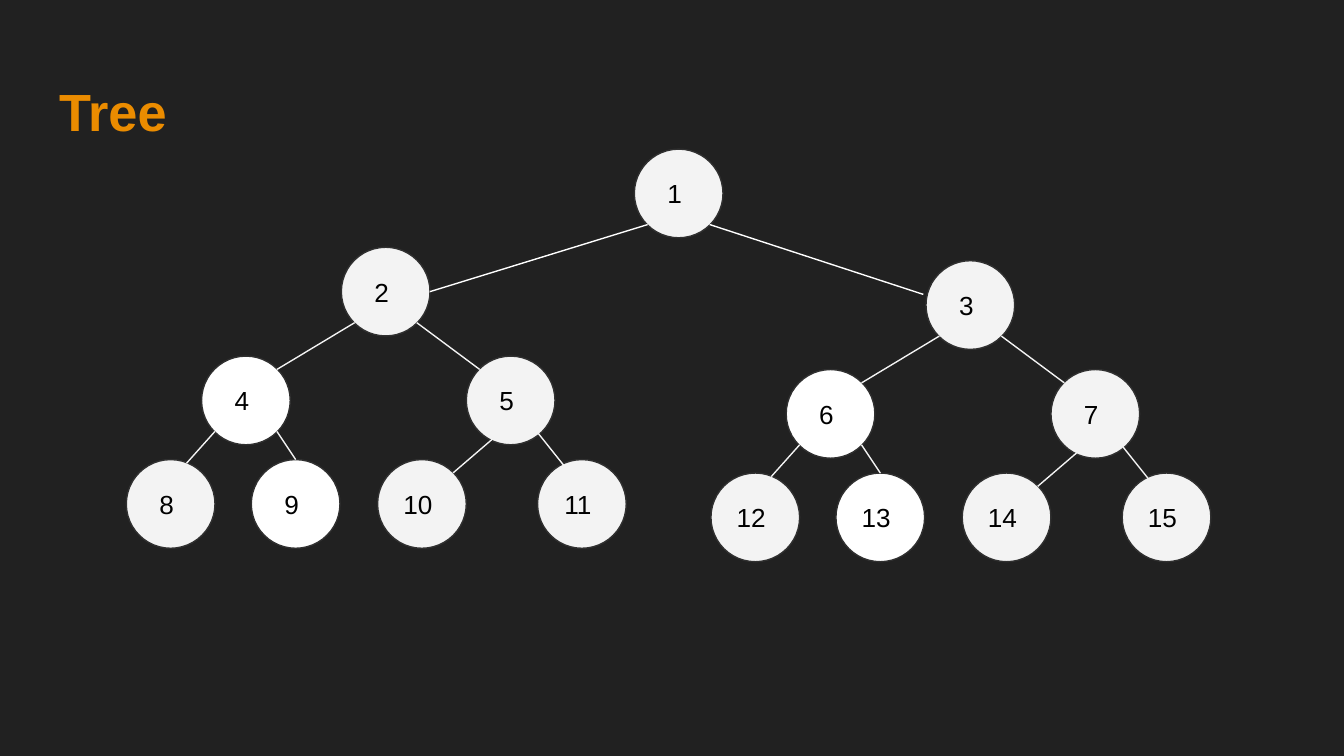
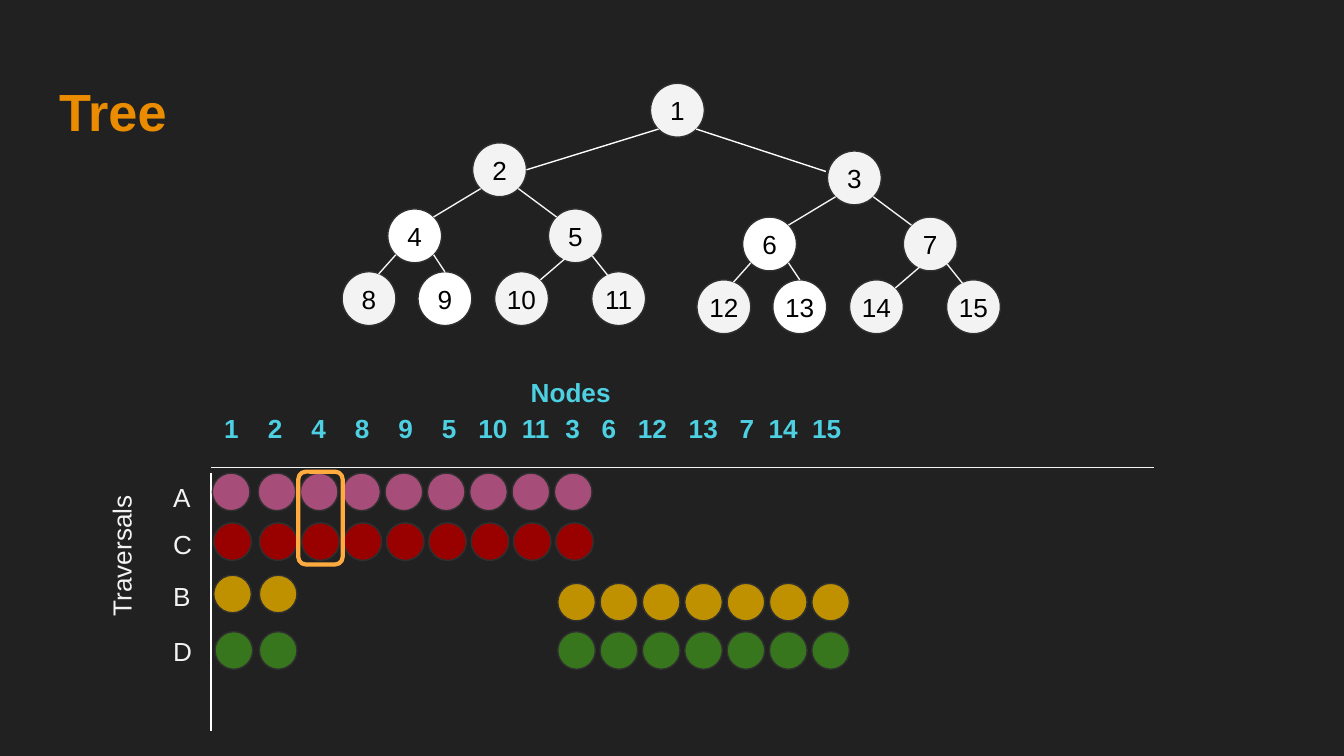
from dataclasses import dataclass

from lxml.etree import SubElement
from pptx import Presentation
from pptx.dml.color import RGBColor
from pptx.enum.shapes import MSO_CONNECTOR, MSO_SHAPE
from pptx.enum.text import MSO_ANCHOR, MSO_AUTO_SIZE, PP_ALIGN
from pptx.oxml.ns import qn
from pptx.util import Emu, Inches, Pt

COLUMNS, ROWS = 100, 56.25
TITLE_ONLY = 5


@dataclass(frozen=True)
class Theme:
    font: str = "Arial"
    title_size: int = 28
    body_size: int = 14
    thin: float = 0.75
    thick: float = 2.25
    inset: float = 1
    background: str = "212121"
    title: str = "EB8C00"
    heading: str = "4DD0E1"
    light: str = "F3F3F3"
    white: str = "FFFFFF"
    ink: str = "000000"
    outline: str = "303030"
    highlight: str = "FFAB40"
    purple: str = "A64D79"
    red: str = "990000"
    gold: str = "BF9000"
    green: str = "38761D"


# Places on a node's edge, as shares of its width and height
TOP, RIGHT = (0.5, 0), (1, 0.5)
TOP_LEFT, TOP_RIGHT = (0.15, 0.15), (0.85, 0.15)
BOTTOM_LEFT, BOTTOM_RIGHT = (0.15, 0.85), (0.85, 0.85)

NODE_SIZE = 6.6
# Node: offset from the root, where the edge leaves the parent, where it arrives
LEFT_BRANCH = {
    2: ((-21.8, 7.3), BOTTOM_LEFT, RIGHT),
    4: ((-32.2, 15.4), BOTTOM_LEFT, TOP_RIGHT),
    5: ((-12.5, 15.4), BOTTOM_RIGHT, TOP_LEFT),
    8: ((-37.8, 23.1), BOTTOM_LEFT, (0.68, 0.04)),
    9: ((-28.5, 23.1), BOTTOM_RIGHT, TOP),
    10: ((-19.1, 23.1), (0.3, 0.93), TOP_RIGHT),
    11: ((-7.2, 23.1), (0.81, 0.87), (0.3, 0.07)),
}
RIGHT_SHIFT = (43.5, 1)
WHITE_NODES = {4, 6, 9, 13}

# Numbers in the order they are visited, and the gaps between them in spaces
VISITS = [1, 2, 4, 8, 9, 5, 10, 11, 3, 6, 12, 13, 7, 14, 15]
GAPS = [4, 4, 4, 4, 4, 3, 2, 2, 3, 3, 3, 3, 2, 2]
DIGIT, SPACE = 1.08, 0.54

DOT_SIZE, DOT_STEP = 2.8, 3.15
# Letter, its row, dot colour, runs of dots as (left, top, count)
TRAVERSALS = [
    ("A", 34.8, "purple", [(15.8, 35.2, 1), (19.2, 35.2, 8)]),
    ("C", 38.3, "red", [(15.9, 38.9, 1), (19.3, 38.9, 8)]),
    ("B", 42.2, "gold", [(15.9, 42.8, 1), (19.3, 42.8, 1), (41.5, 43.4, 7)]),
    ("D", 46.3, "green", [(16, 47, 1), (19.3, 47, 1), (41.5, 47, 7)]),
]


def tree_layout():
    """Map each node to its offset from the root and its edge's two ports."""
    layout = {1: ((0, 0), None, None)}
    for number, (offset, leave, arrive) in LEFT_BRANCH.items():
        layout[number] = (offset, leave, arrive)
        twin = number + 2 ** (number.bit_length() - 2)
        shifted = tuple(a + b for a, b in zip(offset, RIGHT_SHIFT))
        layout[twin] = (shifted, leave, arrive)
    layout[3] = (layout[3][0], BOTTOM_RIGHT, (-0.03, 0.38))
    return layout


class Deck:
    def __init__(self, theme):
        self.theme = theme
        self.presentation = Presentation()
        self.presentation.slide_width = Inches(10)
        self.presentation.slide_height = Inches(5.625)
        self.slide = None
        fill = self.presentation.slide_master.background.fill
        fill.solid()
        fill.fore_color.rgb = self.color("background")

    def color(self, name):
        return RGBColor.from_string(getattr(self.theme, name))

    def x(self, columns):
        return Emu(round(self.presentation.slide_width * columns / COLUMNS))

    def y(self, rows):
        return Emu(round(self.presentation.slide_height * rows / ROWS))

    def frame(self, left, top, width, height):
        return self.x(left), self.y(top), self.x(width), self.y(height)

    def set_text(self, shape, text, color, size, bold=False, align=PP_ALIGN.LEFT,
                 anchor=MSO_ANCHOR.TOP, margins=None):
        """Put one formatted paragraph in the shape; margins are left, top, right, bottom."""
        text_frame = shape.text_frame
        text_frame.word_wrap = True
        text_frame.auto_size = MSO_AUTO_SIZE.NONE
        text_frame.vertical_anchor = anchor
        left, top, right, bottom = margins or (self.theme.inset,) * 4
        text_frame.margin_left, text_frame.margin_right = self.x(left), self.x(right)
        text_frame.margin_top, text_frame.margin_bottom = self.y(top), self.y(bottom)
        text_frame.text = text
        paragraph = text_frame.paragraphs[0]
        paragraph.alignment = align
        for run in paragraph.runs:
            run.font.name = self.theme.font
            run.font.size = Pt(size)
            run.font.bold = bold
            run.font.color.rgb = self.color(color)
        return paragraph

    def add_slide(self, title, title_width):
        layout = self.presentation.slide_layouts[TITLE_ONLY]
        self.slide = self.presentation.slides.add_slide(layout)
        shape = self.slide.shapes.title
        shape.left, shape.top, shape.width, shape.height = self.frame(3.4, 4.9, title_width, 6.3)
        self.set_text(shape, title, "title", self.theme.title_size, bold=True)

    def label(self, text, box, color="light", bold=False, rotation=0):
        shape = self.slide.shapes.add_textbox(*self.frame(*box))
        shape.rotation = rotation
        return self.set_text(shape, text, color, self.theme.body_size, bold)

    def shape(self, kind, box, fill=None, line="outline", weight=None):
        shape = self.slide.shapes.add_shape(kind, *self.frame(*box))
        shape.shadow.inherit = False
        if fill:
            shape.fill.solid()
            shape.fill.fore_color.rgb = self.color(fill)
        else:
            shape.fill.background()
        shape.line.color.rgb = self.color(line)
        shape.line.width = Pt(weight or self.theme.thin)
        return shape

    def line(self, start, end, color="light"):
        connector = self.slide.shapes.add_connector(
            MSO_CONNECTOR.STRAIGHT,
            self.x(start[0]), self.y(start[1]), self.x(end[0]), self.y(end[1]))
        connector.line.color.rgb = self.color(color)
        connector.line.width = Pt(self.theme.thin)
        SubElement(connector._element.spPr, qn("a:effectLst"))

    def tree(self, root, scale=1, right_margin=0):
        """Draw the binary tree, its root node's corner at the given column and row."""
        layout = tree_layout()
        size = NODE_SIZE * scale

        def place(number, port=(0, 0)):
            offset = layout[number][0]
            return tuple(origin + scale * distance + size * share
                         for origin, distance, share in zip(root, offset, port))

        for number in sorted(layout):
            fill = "white" if number in WHITE_NODES else "light"
            node = self.shape(MSO_SHAPE.OVAL, (*place(number), size, size), fill)
            self.set_text(node, str(number), "ink", self.theme.body_size,
                          align=PP_ALIGN.CENTER, anchor=MSO_ANCHOR.MIDDLE,
                          margins=(0, 0, right_margin, 0))
        for number in sorted(layout)[1:]:
            parent = number // 2
            _, leave, arrive = layout[number]
            self.line(place(parent, leave), place(number, arrive),
                      "white" if parent == 1 else "light")

    def visit_header(self, box):
        """Show the visited numbers in one line, spaced by tab stops."""
        text = "\t".join(str(number) for number in VISITS)
        paragraph = self.label(text, box, "heading", bold=True)
        stops = SubElement(paragraph._p.get_or_add_pPr(), qn("a:tabLst"))
        position = 0
        for number, gap in zip(VISITS, GAPS):
            position += len(str(number)) * DIGIT + gap * SPACE
            SubElement(stops, qn("a:tab"), pos=str(self.x(position)), algn="l")

    def traversal(self, letter, row, color, runs):
        self.label(letter, (11.9, row, 5.1, 5.1))
        for left, top, count in runs:
            for index in range(count):
                box = (left + index * DOT_STEP, top, DOT_SIZE, DOT_SIZE)
                self.shape(MSO_SHAPE.OVAL, box, color)


def main():
    deck = Deck(Theme())

    deck.add_slide("Tree", 93.2)
    deck.tree(root=(47.2, 11.1), right_margin=0.6)

    deck.add_slide("Tree", 15.3)
    deck.tree(root=(48.4, 6.2), scale=0.607)
    deck.label("Nodes", (38.5, 27, 8.8, 5.1), "heading", bold=True)
    deck.visit_header((15.7, 29.7, 70.5, 5.1))
    deck.line((15.7, 34.8), (85.9, 34.8))
    deck.line((15.7, 35.2), (15.7, 54.4), "white")
    deck.label("Traversals", (3.6, 38.5, 11.6, 5.1), rotation=270)
    for traversal in TRAVERSALS:
        deck.traversal(*traversal)
    deck.shape(MSO_SHAPE.ROUNDED_RECTANGLE, (22.2, 35.1, 3.3, 6.9),
               line="highlight", weight=deck.theme.thick)

    deck.presentation.save("out.pptx")


if __name__ == "__main__":
    main()
